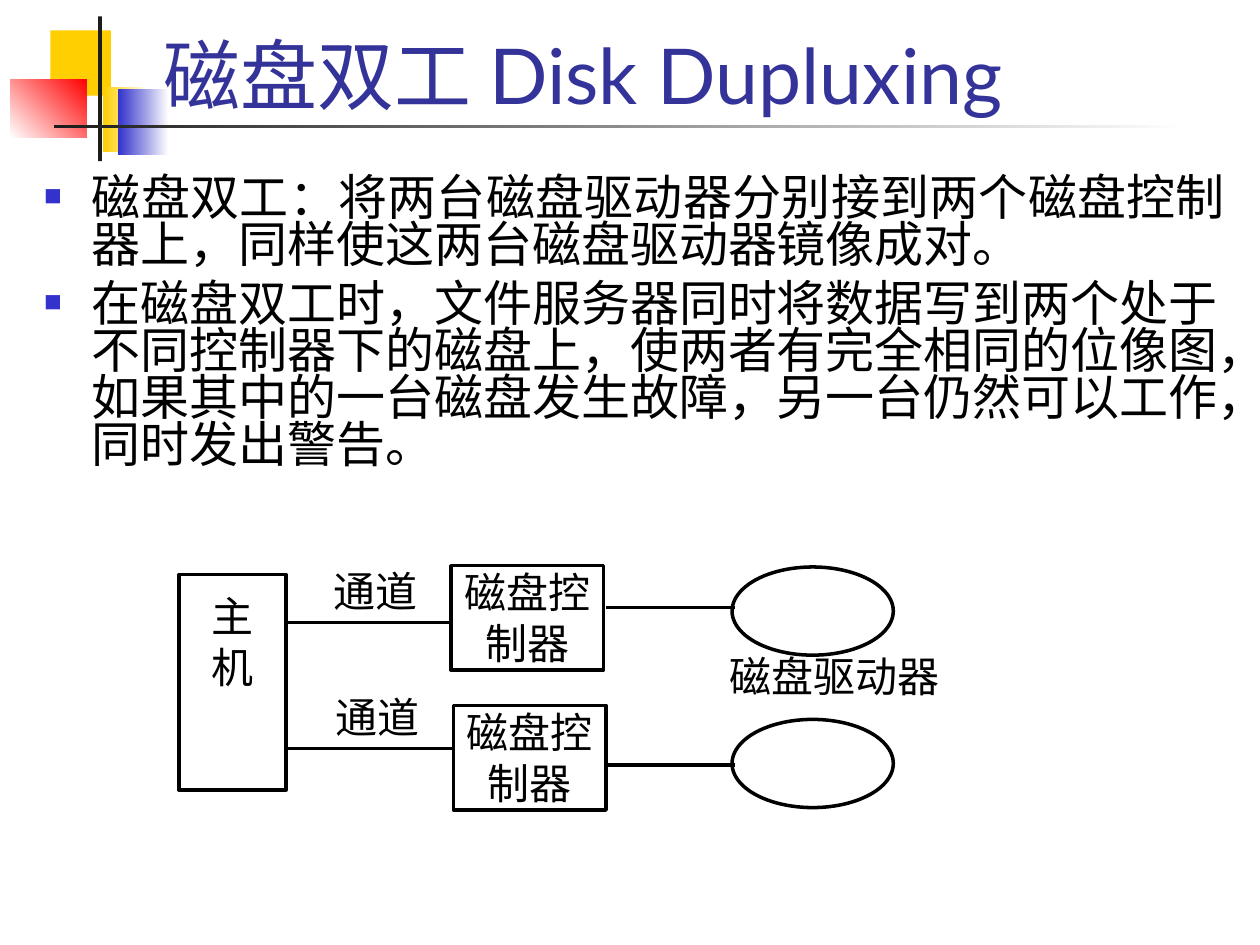
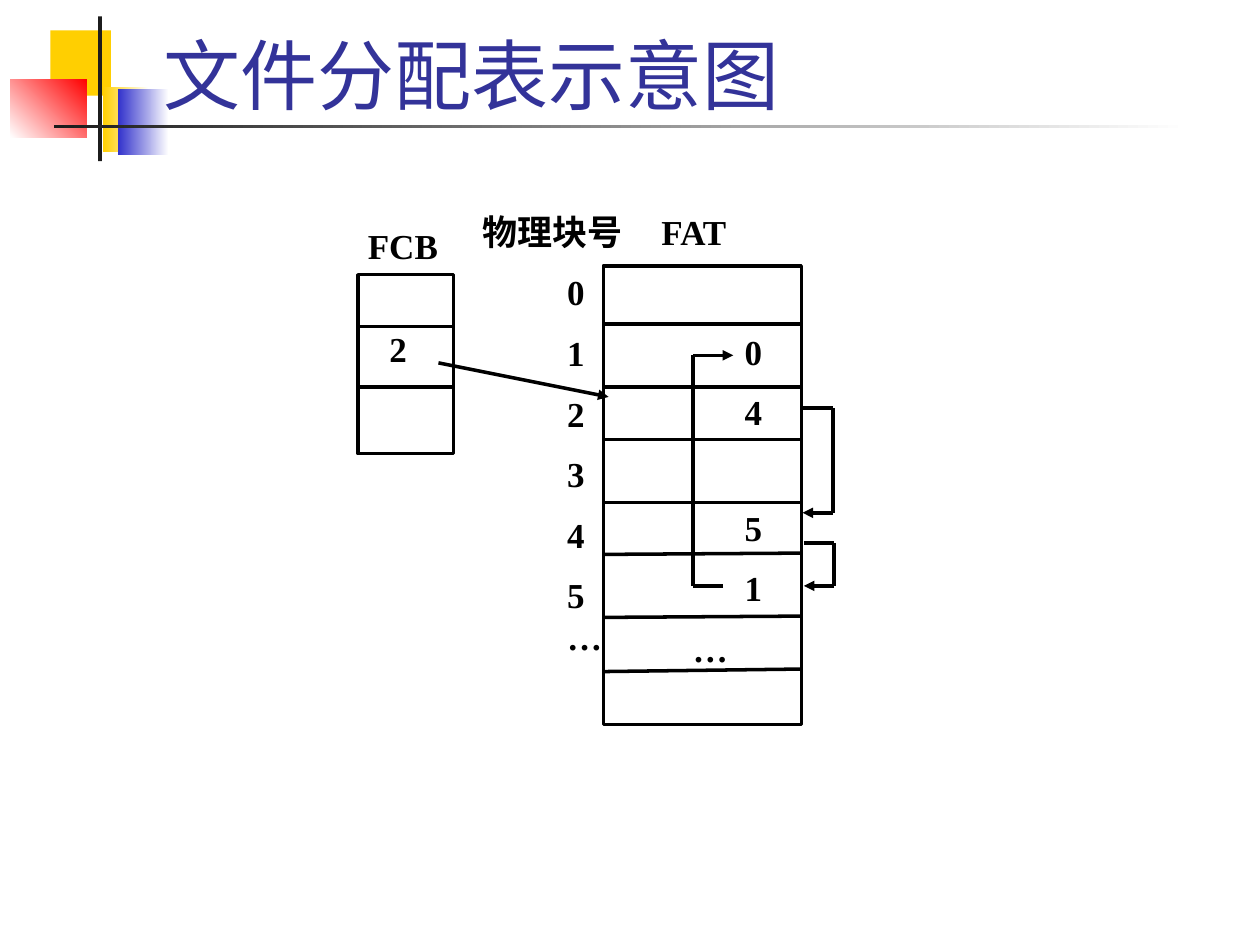
"""Build two slides: disk duplexing and a file allocation table diagram."""
import pptx
import pptx.dml.color
import pptx.enum.shapes
import pptx.enum.text
import pptx.oxml
import pptx.oxml.ns
import pptx.util
from pptx.util import Inches, Pt

ALIGN = pptx.enum.text.PP_ALIGN
ANCHOR = pptx.enum.text.MSO_ANCHOR
SHAPE = pptx.enum.shapes.MSO_SHAPE
COLORS = {"title": "333399", "text": "000000", "bullet": "3333CC", "yellow": "FFCF01",
          "red": "FF0000", "dark": "1C1C1C", "white": "FFFFFF"}

BAND = [
    ((0.40, 0.24, 0.48, 0.52), ["yellow"], 0),
    ((0.82, 0.69, 0.36, 0.52), ["white", "yellow"], 180),
    ((0.94, 0.71, 0.40, 0.52), ["white", "bullet"], 180),
    ((0.08, 0.63, 0.61, 0.46), ["red", "white"], 225),
    ((0.78, 0.13, 0.03, 1.15), ["dark"], 0),
    ((0.43, 0.99, 9.00, 0.03), ["white", "dark"], 180),
]
TITLE_BOX = (1.2, 0.17, 8.52, 0.83)
BODY_BOX = (0.25, 1.36, 9.58, 2.63)
TITLE_FONT = {"size": Pt(44), "name": "Lato"}
LABEL_FONT = {"size": Pt(24), "name": "Times New Roman"}
TABLE_FONT = {"size": Pt(20), "name": "Times New Roman", "bold": True}

DUPLEX_TITLE = "磁盘双工 Disk Dupluxing"
DUPLEX_POINTS = [
    ("磁盘双工：将两台磁盘驱动器分别接到两个磁盘控制器上，同样使这两台磁盘驱动器镜像成对。",
     "Lato", ALIGN.JUSTIFY),
    ("在磁盘双工时，文件服务器同时将数据写到两个处于不同控制器下的磁盘上，使两者有完全相同的位像图，"
     "如果其中的一台磁盘发生故障，另一台仍然可以工作，同时发出警告。", "Times New Roman", ALIGN.LEFT),
]
HOST_BOX = (1.42, 4.56, 0.85, 1.71)
CHANNELS = [
    {"controller": (3.58, 4.49), "label": (2.65, 4.49), "link": 4.94, "drive_link": 4.82, "drive": 4.50},
    {"controller": (3.60, 5.60), "label": (2.66, 5.49), "link": 5.94, "drive_link": 6.07, "drive": 5.71},
]

FAT_TITLE = "文件分配表示意图"
FAT_HEADINGS = [("FCB", (2.92, 1.78, 0.67, 0.29)), ("物理块号", (3.83, 1.67, 1.19, 0.45)),
                ("FAT", (5.25, 1.67, 0.67, 0.45))]
ROW_GAP, SKIPPED_ROW_GAP = 10.6, 42.1
VALUE_INDENT, ELLIPSIS_INDENT = 1.04, 0.63
BLOCK_NUMBERS = [(str(number), 0, ROW_GAP if number else 0) for number in range(6)] + [("…", 0, 0)]
FAT_VALUES = [("0", VALUE_INDENT, 0), ("4", VALUE_INDENT, ROW_GAP), ("5", VALUE_INDENT, SKIPPED_ROW_GAP),
              ("1", VALUE_INDENT, ROW_GAP), ("…", ELLIPSIS_INDENT, ROW_GAP)]
BLOCK_BOX = (4.50, 2.15, 0.25, 3.26)
FAT_BOX = (4.79, 2.11, 1.57, 3.64)
FCB_BOX = (2.84, 2.18, 0.76, 1.42)
FAT_RULES = [(2.57, 2.57), (3.07, 3.07), (3.49, 3.49), (3.99, 3.99),
             (4.40, 4.39), (4.90, 4.89), (5.33, 5.31)]
FCB_RULES = [(2.59, 2.59), (3.07, 3.07)]
CHAIN_ARROWS = [
    [(3.48, 2.88), (4.83, 3.15)],
    [(6.37, 3.24), (6.61, 3.24), (6.61, 4.07), (6.37, 4.07)],
    [(6.38, 4.31), (6.62, 4.31), (6.62, 4.65), (6.38, 4.65)],
    [(5.74, 4.65), (5.50, 4.65), (5.50, 2.82), (5.82, 2.82)],
]


def rgb(name):
    return pptx.dml.color.RGBColor.from_string(COLORS[name])


def apply(target, values):
    for name, value in values.items():
        setattr(target, name, value)


def place(shape, box):
    apply(shape, dict(zip(("left", "top", "width", "height"), map(Inches, box))))


def set_frame(frame, insets, anchor=ANCHOR.TOP):
    sides = ("margin_left", "margin_top", "margin_right", "margin_bottom")
    apply(frame, dict(zip(sides, map(Inches, insets))))
    apply(frame, {"word_wrap": True, "vertical_anchor": anchor,
                  "auto_size": pptx.enum.text.MSO_AUTO_SIZE.NONE})


def write(frame, rows, font, align=ALIGN.LEFT):
    """Write rows of (text, left indent in inches, space before in points)."""
    for index, (text, indent, gap) in enumerate(rows):
        paragraph = frame.add_paragraph() if index else frame.paragraphs[0]
        run = paragraph.add_run()
        run.text = text
        apply(paragraph, {"alignment": align, "space_before": Pt(gap)})
        if indent:
            paragraph._p.get_or_add_pPr().set("marL", str(Inches(indent)))
        apply(run.font, font)
        run.font.color.rgb = rgb("text")


def add_label(slide, rows, box, font):
    frame = slide.shapes.add_textbox(*map(Inches, box)).text_frame
    set_frame(frame, (0, 0, 0, 0))
    write(frame, rows, font)


def add_outline(slide, box, kind=SHAPE.RECTANGLE, filled=False):
    shape = slide.shapes.add_shape(kind, *map(Inches, box))
    shape.shadow.inherit = False
    if filled:
        shape.fill.solid()
        shape.fill.fore_color.rgb = rgb("white")
    else:
        shape.fill.background()
    shape.line.color.rgb = rgb("text")
    shape.line.width = Pt(2)
    return shape


def add_line(slide, start, end, arrow=False):
    straight = pptx.enum.shapes.MSO_CONNECTOR.STRAIGHT
    connector = slide.shapes.add_connector(straight, *map(Inches, (*start, *end)))
    connector.line.color.rgb = rgb("text")
    connector.line.width = Pt(2)
    properties = connector.element.spPr
    properties.append(pptx.oxml.parse_xml(f'<a:effectLst {pptx.oxml.ns.nsdecls("a")}/>'))
    if arrow:
        connector.line._get_or_add_ln().append(
            pptx.oxml.parse_xml(f'<a:tailEnd {pptx.oxml.ns.nsdecls("a")} type="triangle"/>'))


def add_rules(slide, box, rules):
    left, _, width, _ = box
    for start, end in rules:
        add_line(slide, (left, start), (left + width, end))


def add_band(master, slide):
    """Draw the band and move it behind the placeholders of the master."""
    for index, (box, colors, angle) in enumerate(BAND):
        shape = slide.shapes.add_shape(SHAPE.RECTANGLE, *map(Inches, box))
        shape.shadow.inherit = False
        shape.line.fill.background()
        if len(colors) == 1:
            shape.fill.solid()
            shape.fill.fore_color.rgb = rgb(colors[0])
        else:
            shape.fill.gradient()
            shape.fill.gradient_angle = angle
            for stop, color in zip(shape.fill.gradient_stops, colors):
                stop.color.rgb = rgb(color)
        shape.element.nvSpPr.cNvPr.set("id", str(20 + index))
        master.shapes.element.insert(2 + index, shape.element)


def add_title(slide, text):
    title = slide.shapes.title
    place(title, TITLE_BOX)
    set_frame(title.text_frame, (0.1, 0.05, 0.1, 0.05), ANCHOR.BOTTOM)
    title.text_frame.text = text
    paragraph = title.text_frame.paragraphs[0]
    paragraph.alignment = ALIGN.LEFT
    font = paragraph.runs[0].font
    apply(font, TITLE_FONT)
    font.color.rgb = rgb("title")


def add_points(body):
    place(body, BODY_BOX)
    set_frame(body.text_frame, (0.1, 0.05, 0.1, 0.05))
    write(body.text_frame, [(text, 0.38, 7 if index else 0)
                            for index, (text, _, _) in enumerate(DUPLEX_POINTS)], {"size": Pt(28)})
    namespace = pptx.oxml.ns.nsdecls("a")
    bullet = [f'<a:buClr {namespace}><a:srgbClr val="{COLORS["bullet"]}"/></a:buClr>',
              f'<a:buSzPct {namespace} val="60000"/>', f'<a:buChar {namespace} char="■"/>']
    for paragraph, (_, name, align) in zip(body.text_frame.paragraphs, DUPLEX_POINTS):
        properties = paragraph._p.get_or_add_pPr()
        properties.set("indent", str(-Inches(0.38)))
        for xml in bullet:
            properties.append(pptx.oxml.parse_xml(xml))
        apply(paragraph, {"line_spacing": 0.8, "alignment": align})
        paragraph.runs[0].font.name = name


def add_duplex_diagram(slide):
    host = add_outline(slide, HOST_BOX)
    set_frame(host.text_frame, (0.02, 0.13, 0.02, 0.01))
    write(host.text_frame, [("主", 0, 0), ("机", 0, 0)], LABEL_FONT, ALIGN.CENTER)
    for channel in CHANNELS:
        controller = add_outline(slide, (*channel["controller"], 1.21, 0.83))
        set_frame(controller.text_frame, (0.02, 0.01, 0.02, 0.01))
        write(controller.text_frame, [("磁盘控制器", 0, 0)], LABEL_FONT, ALIGN.CENTER)
        add_line(slide, (2.25, channel["link"]), (3.59, channel["link"]))
        add_label(slide, [("通道", 0, 0)], (*channel["label"], 0.75, 0.38), LABEL_FONT)
        add_line(slide, (4.81, channel["drive_link"]), (5.83, channel["drive_link"]))
        add_outline(slide, (5.81, channel["drive"], 1.28, 0.70), SHAPE.OVAL)
    add_label(slide, [("磁盘驱动器", 0, 0)], (5.79, 5.16, 1.80, 0.41), LABEL_FONT)


def add_fat_diagram(slide):
    for text, box in FAT_HEADINGS:
        add_label(slide, [(text, 0, 0)], box, TABLE_FONT)
    tables = [(FAT_BOX, FAT_VALUES, 0.51, FAT_RULES), (FCB_BOX, [("2", 0.17, 0)], 0.42, FCB_RULES)]
    for box, rows, top_inset, rules in tables:
        table = add_outline(slide, box, filled=True)
        set_frame(table.text_frame, (0.08, top_inset, 0.08, 0.02))
        write(table.text_frame, rows, TABLE_FONT)
        add_rules(slide, box, rules)
    add_label(slide, BLOCK_NUMBERS, BLOCK_BOX, TABLE_FONT)
    for points in CHAIN_ARROWS:
        for index, (start, end) in enumerate(zip(points, points[1:]), 2):
            add_line(slide, start, end, arrow=index == len(points))


def main():
    presentation = pptx.Presentation()
    apply(presentation, {"slide_width": Inches(10), "slide_height": Inches(7.5)})
    layouts = presentation.slide_layouts
    duplex = presentation.slides.add_slide(layouts.get_by_name("Title and Content"))
    add_band(presentation.slide_master, duplex)
    add_title(duplex, DUPLEX_TITLE)
    add_points(duplex.placeholders[1])
    add_duplex_diagram(duplex)
    allocation = presentation.slides.add_slide(layouts.get_by_name("Title Only"))
    add_title(allocation, FAT_TITLE)
    add_fat_diagram(allocation)
    presentation.save("out.pptx")


if __name__ == "__main__":
    main()
